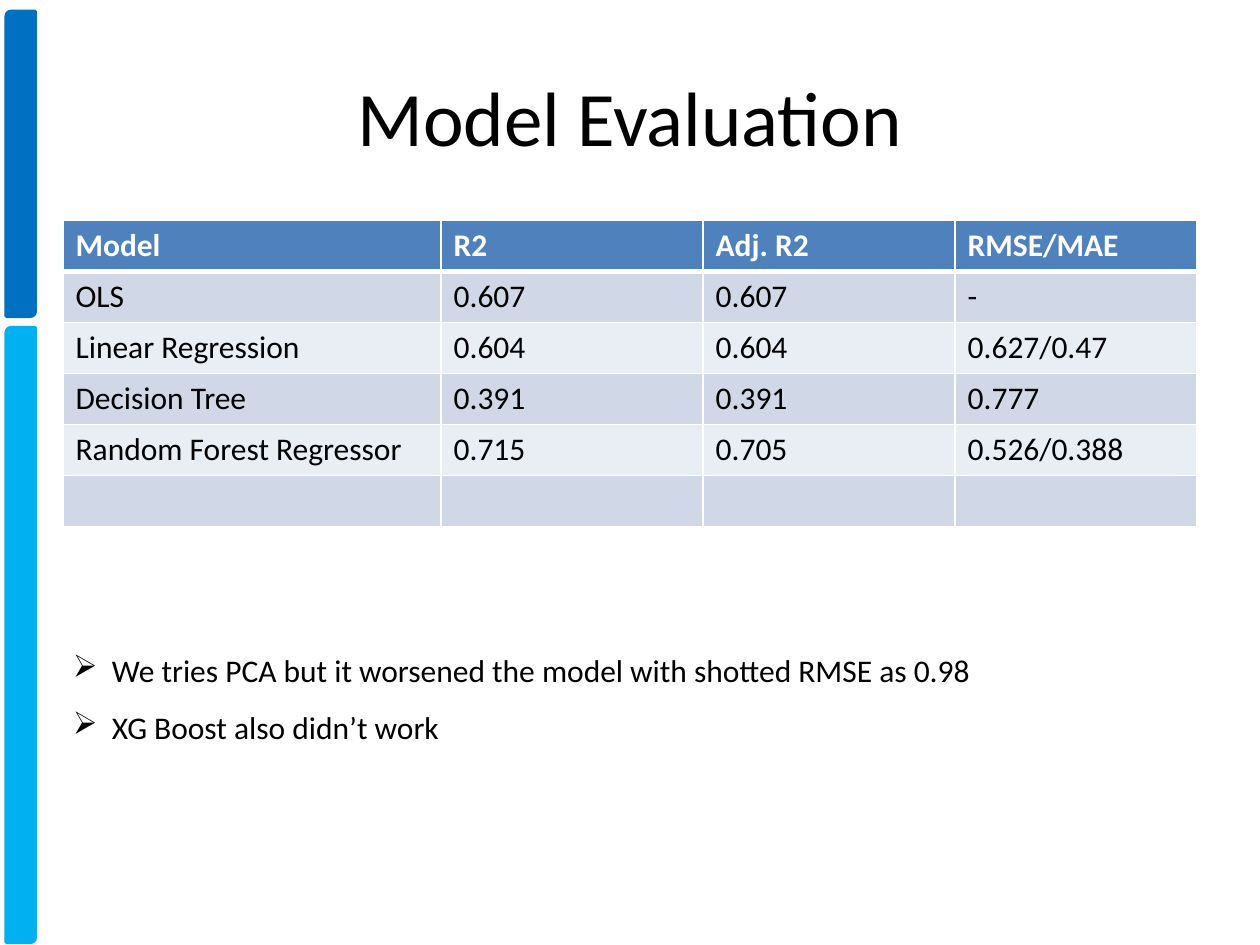
from lxml import etree
from pptx import Presentation
from pptx.dml.color import RGBColor
from pptx.enum.shapes import MSO_SHAPE
from pptx.enum.text import MSO_ANCHOR, PP_ALIGN
from pptx.oxml.ns import qn
from pptx.util import Inches, Pt

BAR_SHAPE = MSO_SHAPE.ROUND_2_DIAG_RECTANGLE
MIDDLE, BOTTOM = MSO_ANCHOR.MIDDLE, MSO_ANCHOR.BOTTOM
CENTER = PP_ALIGN.CENTER

BLACK = RGBColor(0x00, 0x00, 0x00)
WHITE = RGBColor(0xFF, 0xFF, 0xFF)
DARK_BLUE = RGBColor(0x00, 0x70, 0xC0)
LIGHT_BLUE = RGBColor(0x00, 0xB0, 0xF0)
HEADER_BLUE = RGBColor(0x4F, 0x81, 0xBD)
BANDS = (RGBColor(0xD0, 0xD8, 0xE8), RGBColor(0xE9, 0xED, 0xF4))

SCORES = (
    ("Model", "R2", "Adj. R2", "RMSE/MAE"),
    ("OLS", "0.607", "0.607", "-"),
    ("Linear Regression", "0.604", "0.604", "0.627/0.47"),
    ("Decision Tree", "0.391", "0.391", "0.777"),
    ("Random Forest Regressor", "0.715", "0.705", "0.526/0.388"),
    ("", "", "", ""),
)
COLUMN_WIDTHS = (3, 2.08, 2, 1.92)
ROW_HEIGHT = 0.405
REMARKS = (
    "We tries PCA but it worsened the model with shotted RMSE as 0.98",
    "XG Boost also didn’t work",
)


class SlideBuilder:
    """Holds the text style and the slide being built."""

    font_name = "Calibri"
    body_size = 18

    def __init__(self, slide):
        """Keep the slide that receives the elements."""
        self.slide = slide

    def style(self, paragraph, size, color=BLACK, bold=False):
        """Set the font of a whole paragraph."""
        font = paragraph.font
        font.name, font.size, font.bold = self.font_name, Pt(size), bold
        font.color.rgb = color

    def side_bar(self, top, height, color):
        """Draw one coloured bar at the left edge."""
        bar = self.slide.shapes.add_shape(
            BAR_SHAPE, Inches(0.05), Inches(top), Inches(0.23), Inches(height))
        bar.shadow.inherit = False
        bar.fill.solid()
        bar.fill.fore_color.rgb = color
        bar.line.color.rgb = color
        bar.line.width = Pt(2)

    def text_frame(self, left, top, width, height, anchor):
        """Add a wrapping text box and return its frame."""
        box = self.slide.shapes.add_textbox(
            Inches(left), Inches(top), Inches(width), Inches(height))
        frame = box.text_frame
        frame.word_wrap = True
        frame.vertical_anchor = anchor
        return frame

    def title(self, text):
        """Add the centred slide title."""
        heading = self.text_frame(0.5, 0.29, 9, 1.25, MIDDLE).paragraphs[0]
        heading.text = text
        heading.alignment = CENTER
        self.style(heading, 44)

    def borders(self, cell, bottom_width):
        """Give a cell white borders, with its own width at the bottom."""
        properties = cell._tc.get_or_add_tcPr()
        for side, width in (("L", 1), ("R", 1), ("T", 1), ("B", bottom_width)):
            line = etree.SubElement(properties, qn(f"a:ln{side}"), w=str(Pt(width)))
            fill = etree.SubElement(line, qn("a:solidFill"))
            etree.SubElement(fill, qn("a:srgbClr"), val=str(WHITE))

    def table(self, left, top, rows, widths, row_height):
        """Add a banded table with a header row."""
        table = self.slide.shapes.add_table(
            len(rows), len(widths), Inches(left), Inches(top),
            Inches(sum(widths)), Inches(row_height * len(rows))).table
        for column, width in zip(table.columns, widths):
            column.width = Inches(width)
        for r, values in enumerate(rows):
            table.rows[r].height = Inches(row_height)
            header = r == 0
            for c, value in enumerate(values):
                cell = table.cell(r, c)
                cell.text = value
                self.style(cell.text_frame.paragraphs[0], self.body_size,
                           WHITE if header else BLACK, header)
                self.borders(cell, 3 if header or r == 0 else 1)
                cell.fill.solid()
                cell.fill.fore_color.rgb = HEADER_BLUE if header else BANDS[(r - 1) % 2]

    def bullets(self, left, top, width, height, items):
        """Add arrow bullets that sit at the bottom of their box."""
        frame = self.text_frame(left, top, width, height, BOTTOM)
        frame.margin_bottom = 0
        for i, item in enumerate(items):
            paragraph = frame.add_paragraph() if i else frame.paragraphs[0]
            paragraph.text = item
            paragraph.line_spacing = 1.5
            self.style(paragraph, self.body_size)
            properties = paragraph._p.get_or_add_pPr()
            properties.set("marL", str(Inches(0.31)))
            properties.set("indent", str(Inches(-0.31)))
            bullet = etree.Element(qn("a:buChar"), char="➢")
            properties.find(qn("a:defRPr")).addprevious(bullet)


def main():
    """Build the model evaluation slide and save it."""
    deck = Presentation()
    deck.slide_width, deck.slide_height = Inches(10), Inches(7.5)
    builder = SlideBuilder(deck.slides.add_slide(deck.slide_layouts[6]))
    builder.side_bar(0.09, 2.42, DARK_BLUE)
    builder.side_bar(2.6, 4.88, LIGHT_BLUE)
    builder.title("Model Evaluation")
    builder.table(0.5, 1.75, SCORES, COLUMN_WIDTHS, ROW_HEIGHT)
    builder.bullets(0.48, 4.5, 9.02, 1.42, REMARKS)
    deck.save("out.pptx")


main()
